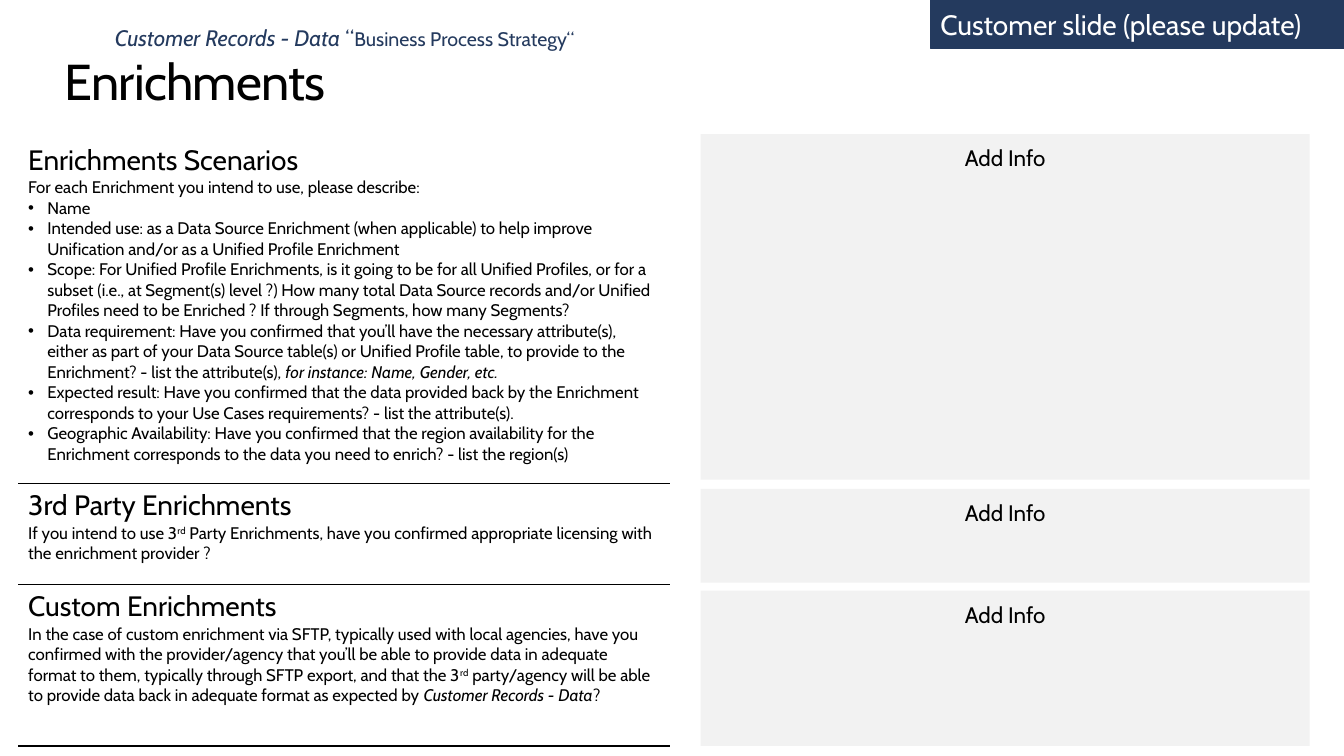
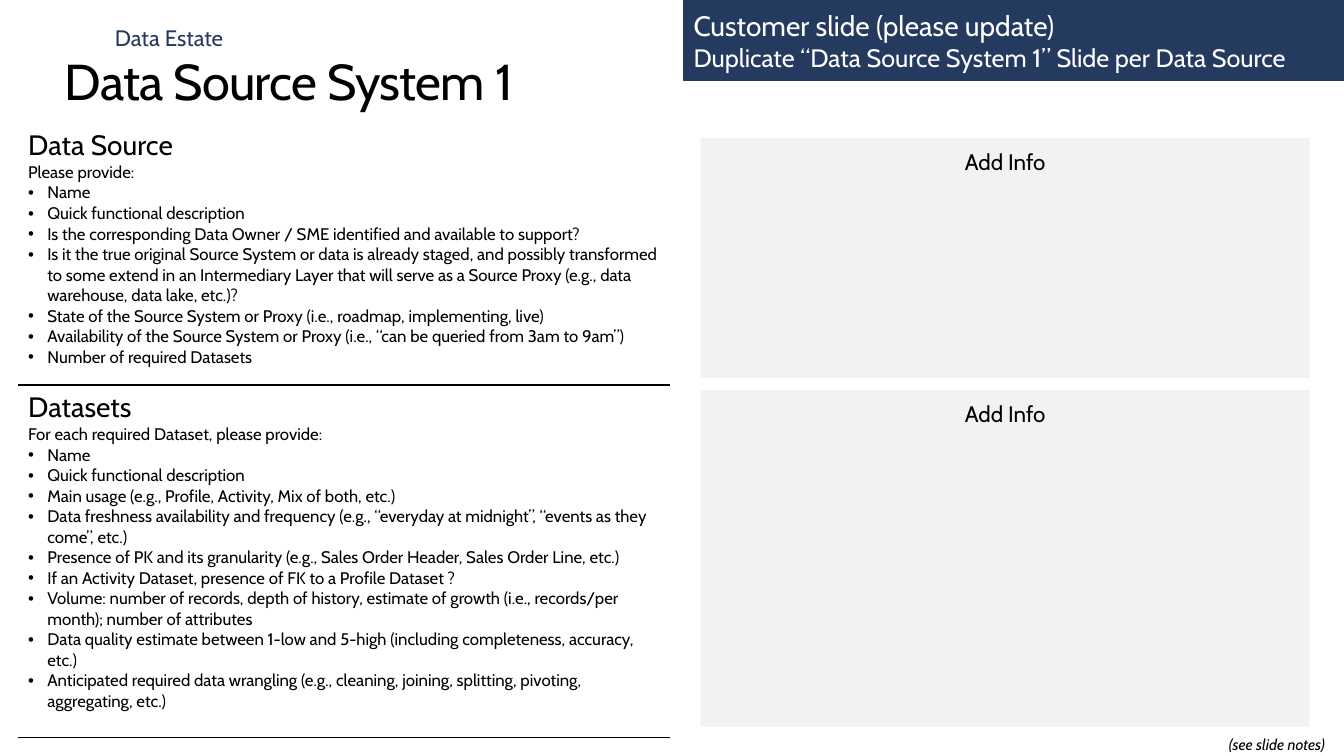
from dataclasses import dataclass

from lxml import etree
from pptx import Presentation
from pptx import util as u
from pptx.dml.color import RGBColor
from pptx.enum import shapes, text
from pptx.oxml import ns


@dataclass(frozen=True)
class Theme:
    """Colours, font, type sizes and shared columns."""
    font: str = "Cabin"
    ink: str = "000000"
    navy: str = "243A5E"
    white: str = "FFFFFF"
    panel: str = "F2F2F2"
    title: int = 36
    heading: int = 20
    tag_note: int = 18
    label: int = 16
    label_small: int = 14
    body: int = 12
    note: int = 11
    table_left: float = 0.18
    table_width: float = 6.47
    panel_left: float = 6.95
    panel_width: float = 6.04
    page_width: float = 13.33


@dataclass(frozen=True)
class Span:
    """A stretch of text with its own style."""
    words: str
    size: int = 0
    italic: bool = False
    superscript: bool = False


THEME = Theme()
PRODUCT = "Customer Records - Data"
RD = Span("rd", superscript=True)
TAG = "Customer slide (please update)"

ENRICHMENT_SECTIONS = [
    ("Enrichments Scenarios", ["For each Enrichment you intend to use, please describe:"], [
        ["Name"],
        ["Intended use: as a Data Source Enrichment (when applicable) to help improve "
         "Unification and/or as a Unified Profile Enrichment"],
        ["Scope: For Unified Profile Enrichments, is it going to be for all Unified Profiles, "
         "or for a subset (i.e., at Segment(s) level ?) How many total Data Source records "
         "and/or Unified Profiles need to be Enriched ? If through Segments, how many Segments?"],
        ["Data requirement: Have you confirmed that you’ll have the necessary attribute(s), "
         "either as part of your Data Source table(s) or Unified Profile table, to provide to "
         "the Enrichment? - list the attribute(s), ",
         Span("for instance: Name, Gender, etc.", italic=True)],
        ["Expected result: Have you confirmed that the data provided back by the Enrichment "
         "corresponds to your Use Cases requirements? - list the attribute(s)."],
        ["Geographic Availability: Have you confirmed that the region availability for the "
         "Enrichment corresponds to the data you need to enrich? - list the region(s)"],
    ]),
    ("3rd Party Enrichments",
     ["If you intend to use 3", RD, " Party Enrichments, have you confirmed appropriate "
      "licensing with the enrichment provider ?"], []),
    ("Custom Enrichments",
     ["In the case of custom enrichment via SFTP, typically used with local agencies, have you "
      "confirmed with the provider/agency that you’ll be able to provide data in adequate "
      "format to them, typically through SFTP export, and that the 3", RD,
      " party/agency will be able to provide data back in adequate format as expected by ",
      Span(PRODUCT, italic=True), "?"], []),
]

SOURCE_SECTIONS = [
    ("Data Source", ["Please provide:"], [
        ["Name"],
        ["Quick functional description"],
        ["Is the corresponding Data Owner / SME identified and available to support?"],
        ["Is it the true original Source System or data is already staged, and possibly "
         "transformed to some extend in an Intermediary Layer that will serve as a Source "
         "Proxy (e.g., data warehouse, data lake, etc.)?"],
        ["State of the Source System or Proxy (i.e., roadmap, implementing, live)"],
        ["Availability of the Source System or Proxy (i.e., “can be queried from 3am to 9am”)"],
        ["Number of required Datasets"],
    ]),
    ("Datasets", ["For each required Dataset, please provide:"], [
        ["Name"],
        ["Quick functional description"],
        ["Main usage (e.g., Profile, Activity, Mix of both, etc.)"],
        ["Data freshness availability and frequency (e.g., “everyday at midnight”, “events as "
         "they come”, etc.)"],
        ["Presence of PK and its granularity (e.g., Sales Order Header, Sales Order Line, etc.)"],
        ["If an Activity Dataset, presence of FK to a Profile Dataset ?"],
        ["Volume: number of records, depth of history, estimate of growth (i.e., records/per "
         "month); number of attributes"],
        ["Data quality estimate between 1-low and 5-high (including completeness, accuracy, "
         "etc.)"],
        ["Anticipated required data wrangling (e.g., cleaning, joining, splitting, pivoting, "
         "aggregating, etc.)"],
    ]),
]


def write_spans(para, spans, size, color=THEME.ink):
    """Fill a paragraph with styled runs."""
    for item in spans:
        span = item if isinstance(item, Span) else Span(item)
        run = para.add_run()
        run.text = span.words
        run.font.name = THEME.font
        run.font.size = u.Pt(span.size or size)
        run.font.italic = span.italic
        run.font.color.rgb = RGBColor.from_string(color)
        if span.superscript:
            run.font._element.set("baseline", "30000")


def add_bullet(para):
    """Give a paragraph a round bullet and a hanging indent."""
    properties = para._p.get_or_add_pPr()
    indent = u.Inches(0.19)
    properties.set("marL", str(indent))
    properties.set("indent", str(-indent))
    etree.SubElement(properties, ns.qn("a:buFont")).set("typeface", "Arial")
    etree.SubElement(properties, ns.qn("a:buChar")).set("char", "•")


def set_margins(frame, left, top, right, bottom):
    """Set the four text insets in inches."""
    frame.margin_left, frame.margin_top = u.Inches(left), u.Inches(top)
    frame.margin_right, frame.margin_bottom = u.Inches(right), u.Inches(bottom)


def add_label(page, place, spans, size, color=THEME.ink, wrap=True):
    """Add a text box without insets and return its paragraph."""
    frame = page.shapes.add_textbox(*map(u.Inches, place)).text_frame
    frame.word_wrap = wrap
    set_margins(frame, 0, 0, 0, 0)
    para = frame.paragraphs[0]
    write_spans(para, spans, size, color)
    return para


def add_block(page, place, color):
    """Add a flat filled rectangle."""
    box = page.shapes.add_shape(shapes.MSO_SHAPE.RECTANGLE, *map(u.Inches, place))
    box.shadow.inherit = False
    box.fill.solid()
    box.fill.fore_color.rgb = RGBColor.from_string(color)
    box.line.fill.background()
    box.text_frame.word_wrap = True
    return box


def add_heading(page, title, kicker, kicker_width):
    """Add the slide title and the small line above it."""
    para = add_label(page, (0.64, 0.5, 12.05, 0.61), [title], THEME.title)
    para.runs[0].font._element.set("spc", "-50")
    add_label(page, (1.14, 0.24, kicker_width, 0.27), kicker, THEME.label, THEME.navy, False)


def add_tag(page, width, height, lines):
    """Add the navy band in the top right corner."""
    box = add_block(page, (THEME.page_width - width, 0, width, height), THEME.navy)
    box.line.color.rgb = RGBColor.from_string(THEME.navy)
    box.line.width = u.Pt(0.25)
    frame = box.text_frame
    frame.vertical_anchor = text.MSO_ANCHOR.MIDDLE
    for index, (words, size) in enumerate(lines):
        para = frame.add_paragraph() if index else frame.paragraphs[0]
        para.alignment = text.PP_ALIGN.LEFT
        write_spans(para, [words], size, THEME.white)


def add_panels(page, rows):
    """Add the grey answer panels, each given by its top and height."""
    for top, height in rows:
        place = (THEME.panel_left, top, THEME.panel_width, height)
        frame = add_block(page, place, THEME.panel).text_frame
        frame.vertical_anchor = text.MSO_ANCHOR.TOP
        set_margins(frame, 0.1, 0.1, 0.1, 0.05)
        para = frame.paragraphs[0]
        para.alignment = text.PP_ALIGN.CENTER
        write_spans(para, ["Add Info"], THEME.label)


def rule_cell(cell, ruled_sides):
    """Draw the named sides of a cell and hide the others."""
    properties = cell._tc.get_or_add_tcPr()
    for side in "LRTB":
        line = etree.SubElement(properties, ns.qn("a:ln" + side), w=str(u.Pt(1)))
        if side in ruled_sides:
            fill = etree.SubElement(line, ns.qn("a:solidFill"))
            etree.SubElement(fill, ns.qn("a:srgbClr")).set("val", THEME.ink)
        else:
            etree.SubElement(line, ns.qn("a:noFill"))
    cell.fill.background()


def fill_section(frame, heading, lead, bullets):
    """Write a heading, a lead sentence and its bullets."""
    write_spans(frame.paragraphs[0], [heading], THEME.heading)
    write_spans(frame.add_paragraph(), lead, THEME.body)
    for spans in bullets:
        para = frame.add_paragraph()
        add_bullet(para)
        write_spans(para, spans, THEME.body)


def add_sections(page, top, heights, sections):
    """Add the one-column table of questions."""
    place = (THEME.table_left, top, THEME.table_width, sum(heights))
    table = page.shapes.add_table(len(sections), 1, *map(u.Inches, place)).table
    table.first_row = table.horz_banding = False
    for index, (height, section) in enumerate(zip(heights, sections)):
        table.rows[index].height = u.Inches(height)
        cell = table.cell(index, 0)
        rule_cell(cell, "TB" if index else "B")
        fill_section(cell.text_frame, *section)


def build_enrichments(page):
    """Build the enrichments slide."""
    kicker = [Span(PRODUCT, italic=True), " “",
              Span("Business Process Strategy“", size=THEME.label_small)]
    add_heading(page, "Enrichments", kicker, 4.85)
    add_tag(page, 4.1, 0.48, [(TAG, THEME.heading)])
    add_sections(page, 1.37, [3.43, 1, 1.6], ENRICHMENT_SECTIONS)
    add_panels(page, [(1.33, 3.43), (4.85, 0.93), (5.86, 1.54)])


def build_data_source(page):
    """Build the data source slide."""
    add_heading(page, "Data Source System 1", ["Data Estate"], 1.11)
    add_sections(page, 1.22, [2.6, 3.5], SOURCE_SECTIONS)
    add_panels(page, [(1.37, 2.38), (3.87, 3.34)])
    add_tag(page, 6.55, 0.8, [
        (TAG, THEME.heading),
        ("Duplicate “Data Source System 1” Slide per Data Source", THEME.tag_note),
    ])
    note = add_label(page, (12.02, 7.29, 1.29, 0.19),
                     [Span("(see slide notes)", italic=True)], THEME.note)
    note.alignment = text.PP_ALIGN.CENTER


def main():
    """Build and save the deck."""
    deck = Presentation()
    deck.slide_width, deck.slide_height = u.Inches(THEME.page_width), u.Inches(7.5)
    for build in (build_enrichments, build_data_source):
        build(deck.slides.add_slide(deck.slide_layouts[6]))
    deck.save("out.pptx")


if __name__ == "__main__":
    main()
